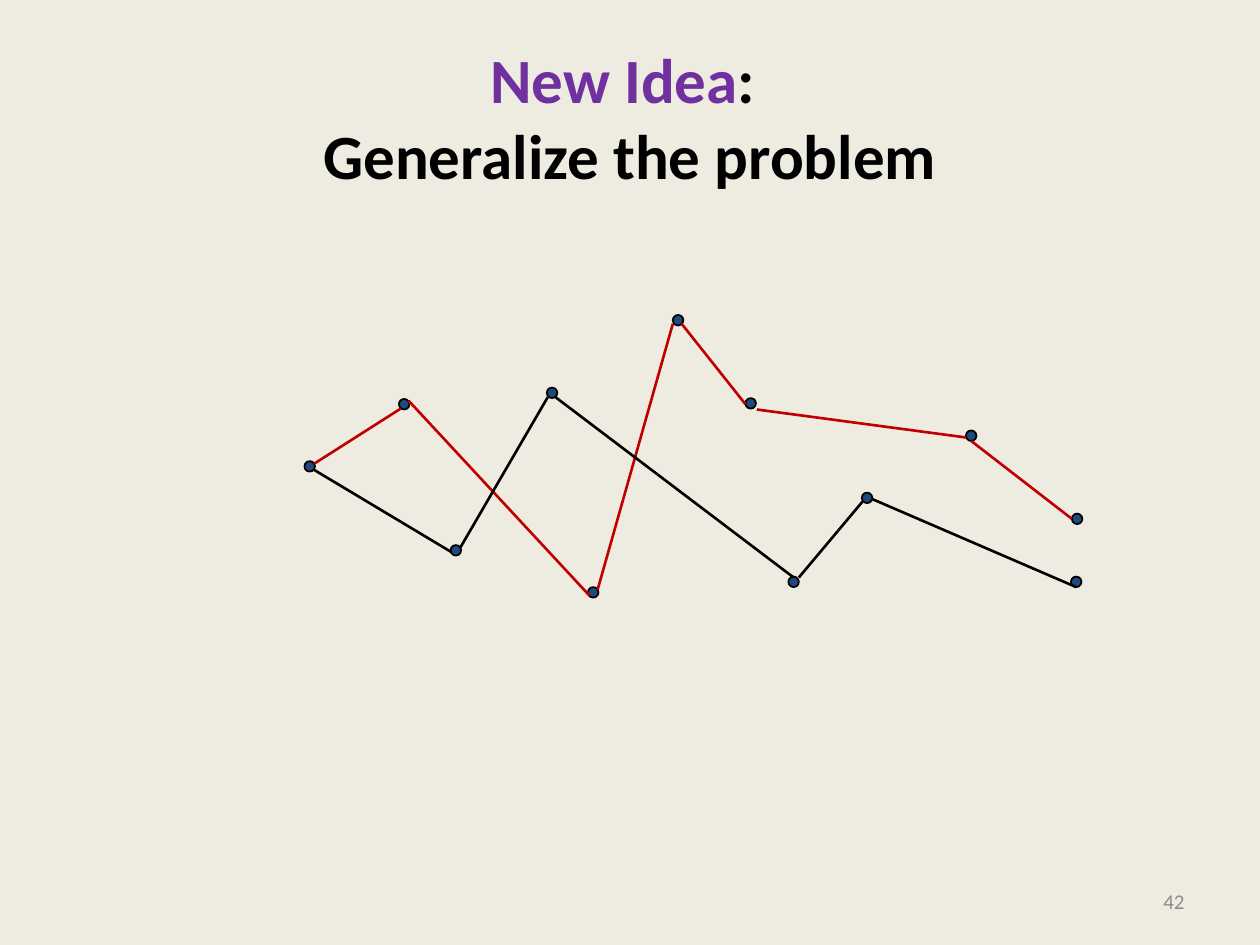
from pptx import Presentation
from pptx.dml.color import RGBColor
from pptx.enum import shapes, text
from pptx.oxml import ns
from pptx.util import Pt
from lxml import etree

CREAM = RGBColor(0xEE, 0xEC, 0xE1)
PURPLE = RGBColor(0x70, 0x30, 0xA0)
BLACK = RGBColor(0, 0, 0)
GRAY = RGBColor(0x8C, 0x8C, 0x8C)
NAVY = RGBColor(0x1F, 0x49, 0x7D)
RED = RGBColor(0xC0, 0, 0)

DOTS = [
    (177, 266.5), (429, 230.5), (315.5, 224.5), (260.5, 314.5),
    (339, 338.5), (231, 231), (387.5, 183), (495.5, 284.5),
    (453.5, 332.5), (555, 249), (615, 332.5), (615.5, 296.5),
]
PATHS = {
    RED: [
        (179.5, 265, 229, 233.5), (233.5, 229, 337, 340.5),
        (341.5, 337, 384.5, 185), (389.5, 185, 426, 231),
        (432.5, 234, 552, 250), (555, 252, 612.5, 296.5),
    ],
    BLACK: [
        (179.5, 268.5, 258, 315.5), (263, 313, 313, 227),
        (317.5, 227, 453.5, 330), (456.5, 330, 493, 286.5),
        (498, 285, 615, 335.5),
    ],
}


def write(para, words, size=36, color=BLACK, bold=False, font="Calibri"):
    run = para.add_run()
    run.text = words
    run.font.name = font
    run.font.size = Pt(size)
    run.font.bold = bold
    run.font.color.rgb = color


class Canvas:
    def __init__(self, slide, dot=6, rim=1, width=1.5):
        self.slide = slide
        self.dot = dot
        self.rim = rim
        self.width = width
        slide.background.fill.solid()
        slide.background.fill.fore_color.rgb = CREAM

    def title(self, left, top, width, height):
        box = self.slide.shapes.title
        box.left, box.top = Pt(left), Pt(top)
        box.width, box.height = Pt(width), Pt(height)
        frame = box.text_frame
        frame.auto_size = text.MSO_AUTO_SIZE.NONE
        frame.vertical_anchor = text.MSO_ANCHOR.MIDDLE
        para = frame.paragraphs[0]
        para.alignment = text.PP_ALIGN.CENTER
        write(para, "New Idea", color=PURPLE, bold=True)
        write(para, ": ", bold=True)
        para.add_line_break()
        write(para, "Generalize the problem", bold=True)

    def label(self, words, left, top, width, height):
        box = self.slide.shapes.add_textbox(Pt(left), Pt(top), Pt(width), Pt(height))
        frame = box.text_frame
        frame.word_wrap = True
        frame.vertical_anchor = text.MSO_ANCHOR.MIDDLE
        para = frame.paragraphs[0]
        para.alignment = text.PP_ALIGN.RIGHT
        write(para, words, size=12, color=GRAY)

    def line(self, ends, color):
        line = self.slide.shapes.add_connector(
            shapes.MSO_CONNECTOR.STRAIGHT, *map(Pt, ends))
        line.line.color.rgb = color
        line.line.width = Pt(self.width)
        etree.SubElement(line._element.spPr, ns.qn("a:effectLst"))

    def point(self, x, y):
        half = self.dot / 2
        dot = self.slide.shapes.add_shape(
            shapes.MSO_SHAPE.OVAL, Pt(x - half), Pt(y - half),
            Pt(self.dot), Pt(self.dot))
        dot.shadow.inherit = False
        dot.fill.solid()
        dot.fill.fore_color.rgb = NAVY
        dot.line.color.rgb = BLACK
        dot.line.width = Pt(self.rim)


def main():
    deck = Presentation()
    deck.slide_width, deck.slide_height = Pt(720), Pt(540)
    page = Canvas(deck.slides.add_slide(deck.slide_layouts[5]))
    page.title(36, 21.6, 648, 90)
    page.label("42", 516, 500.5, 168, 28.75)
    for x, y in DOTS:
        page.point(x, y)
    for color, parts in PATHS.items():
        for ends in parts:
            page.line(ends, color)
    deck.save("out.pptx")


if __name__ == "__main__":
    main()
